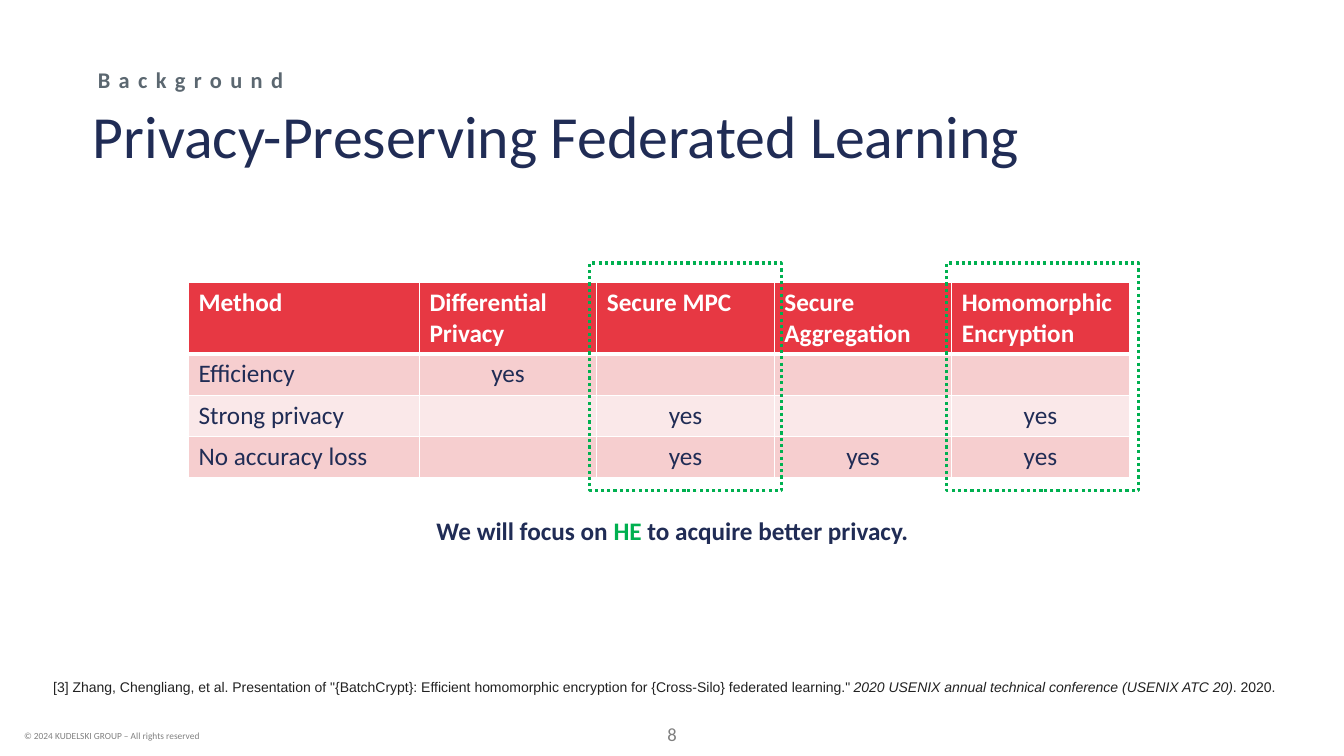
from dataclasses import dataclass

from lxml import etree
from pptx import Presentation, util as u
from pptx.dml.color import RGBColor
from pptx.enum import dml, shapes, text
from pptx.oxml import ns

PX = 9144  # EMU: 100 px to the inch

NAVY = RGBColor(0x20, 0x2C, 0x55)
SLATE = RGBColor(0x5B, 0x67, 0x70)
GREY = RGBColor(0x80, 0x80, 0x80)
INK = RGBColor(0x22, 0x22, 0x22)
GREEN = RGBColor(0x00, 0xB0, 0x50)
RED = RGBColor(0xE7, 0x38, 0x43)
PINK = RGBColor(0xF6, 0xCE, 0xCF)
PALE = RGBColor(0xFA, 0xE8, 0xE9)
WHITE = RGBColor(0xFF, 0xFF, 0xFF)

LEFT, CENTER = text.PP_ALIGN.LEFT, text.PP_ALIGN.CENTER


@dataclass(frozen=True)
class Run:
    text: str
    color: RGBColor | None = None
    italic: bool | None = None


@dataclass(frozen=True)
class Label:
    box: tuple[int, int, int, int]
    runs: tuple[Run, ...]
    size: float
    color: RGBColor
    font: str = "Calibri"
    bold: bool = False
    align: text.PP_ALIGN = LEFT
    anchor: text.MSO_ANCHOR = text.MSO_ANCHOR.TOP
    inset: bool = True
    line_spacing: float | None = None
    indent: int = 0
    tracking: int = 0  # hundredths of a point


LABELS = (
    Label((14, 719, 331, 21), (Run("© 2024 KUDELSKI GROUP – All rights reserved"),),
          6.7, GREY),
    Label((626, 717, 81, 22), (Run("8"),), 13.3, GREY, align=CENTER,
          anchor=text.MSO_ANCHOR.MIDDLE, inset=False),
    Label((92, 106, 1150, 72), (Run("Privacy-Preserving Federated Learning"),),
          42.7, NAVY, inset=False, line_spacing=0.9),
    Label((92, 69, 1150, 29), (Run("Background"),), 16, SLATE, bold=True,
          inset=False, line_spacing=0.9, indent=5, tracking=600),
    Label((371, 506, 592, 40),
          (Run("We will focus on "), Run("HE", GREEN), Run(" to acquire better privacy.")),
          18, NAVY, bold=True, align=CENTER),
    Label((43, 668, 1274, 27),
          (Run('[3] Zhang, Chengliang, et al. Presentation of "{BatchCrypt}: Efficient '
               'homomorphic encryption for {Cross-Silo} federated learning." '),
           Run("2020 USENIX annual technical conference (USENIX ATC 20)", italic=True),
           Run(". 2020.")),
          10, INK, font="Arial"),
)

METHODS = (
    ("Method", "Differential Privacy", "Secure MPC", "Secure Aggregation",
     "Homomorphic Encryption"),
    ("Efficiency", "yes", "", "", ""),
    ("Strong privacy", "", "yes", "", "yes"),
    ("No accuracy loss", "", "yes", "yes", "yes"),
)
COLUMNS = (229, 176, 176, 176, 176)
ROWS = (70, 41, 41, 41)
HIGHLIGHTS = ((585, 261, 190, 226), (939, 261, 190, 226))


def px(box: tuple[int, int, int, int]) -> list[int]:
    return [n * PX for n in box]


def add_label(s, label: Label) -> None:
    tf = s.shapes.add_textbox(*px(label.box)).text_frame
    tf.word_wrap = True
    tf.vertical_anchor = label.anchor
    if not label.inset:
        tf.margin_left = tf.margin_top = tf.margin_right = tf.margin_bottom = 0
    p = tf.paragraphs[0]
    p.alignment = label.align
    p.line_spacing = label.line_spacing
    if label.indent:
        p._p.get_or_add_pPr().set("marL", str(label.indent * PX))
    p.font.name, p.font.size = label.font, u.Pt(label.size)
    p.font.bold, p.font.color.rgb = label.bold, label.color
    for run in label.runs:
        r = p.add_run()
        r.text = run.text
        r.font.italic = run.italic
        if run.color is not None:
            r.font.color.rgb = run.color
        if label.tracking:
            r._r.get_or_add_rPr().set("spc", str(label.tracking))


def set_borders(cell, widths: dict[str, int]) -> None:
    """Draw white borders; call before filling the cell, as the schema orders them first."""
    tc_pr = cell._tc.get_or_add_tcPr()
    for side, width in widths.items():
        ln = etree.SubElement(tc_pr, ns.qn(f"a:ln{side}"), w=str(u.Pt(width)))
        fill = etree.SubElement(ln, ns.qn("a:solidFill"))
        etree.SubElement(fill, ns.qn("a:srgbClr"), val=str(WHITE))


def add_methods_table(s) -> None:
    box = (187, 280, sum(COLUMNS), sum(ROWS))
    table = s.shapes.add_table(len(ROWS), len(COLUMNS), *px(box)).table
    for column, width in zip(table.columns, COLUMNS):
        column.width = width * PX
    for i, (row, height, words) in enumerate(zip(table.rows, ROWS, METHODS)):
        row.height = height * PX
        header = i == 0
        for j, (cell, word) in enumerate(zip(row.cells, words)):
            set_borders(cell, {"L": 1, "R": 1, "T": 3 if i == 1 else 1,
                               "B": 3 if header else 1})
            cell.fill.solid()
            cell.fill.fore_color.rgb = RED if header else PINK if i % 2 else PALE
            p = cell.text_frame.paragraphs[0]
            p.text = word
            p.alignment = LEFT if header or j == 0 else CENTER
            p.font.name, p.font.size = "Calibri", u.Pt(18)
            p.font.bold, p.font.color.rgb = header, WHITE if header else NAVY


def add_highlight(s, box: tuple[int, int, int, int]) -> None:
    sp = s.shapes.add_shape(shapes.MSO_SHAPE.RECTANGLE, *px(box))
    sp.shadow.inherit = False
    sp.fill.background()
    sp.line.color.rgb = GREEN
    sp.line.width = u.Pt(2.25)
    sp.line.dash_style = dml.MSO_LINE.ROUND_DOT


def main() -> None:
    prs = Presentation()
    prs.slide_width, prs.slide_height = 1333 * PX, 750 * PX
    s = prs.slides.add_slide(prs.slide_layouts[6])
    add_methods_table(s)
    for box in HIGHLIGHTS:
        add_highlight(s, box)
    for label in LABELS:
        add_label(s, label)
    prs.save("out.pptx")


if __name__ == "__main__":
    main()
